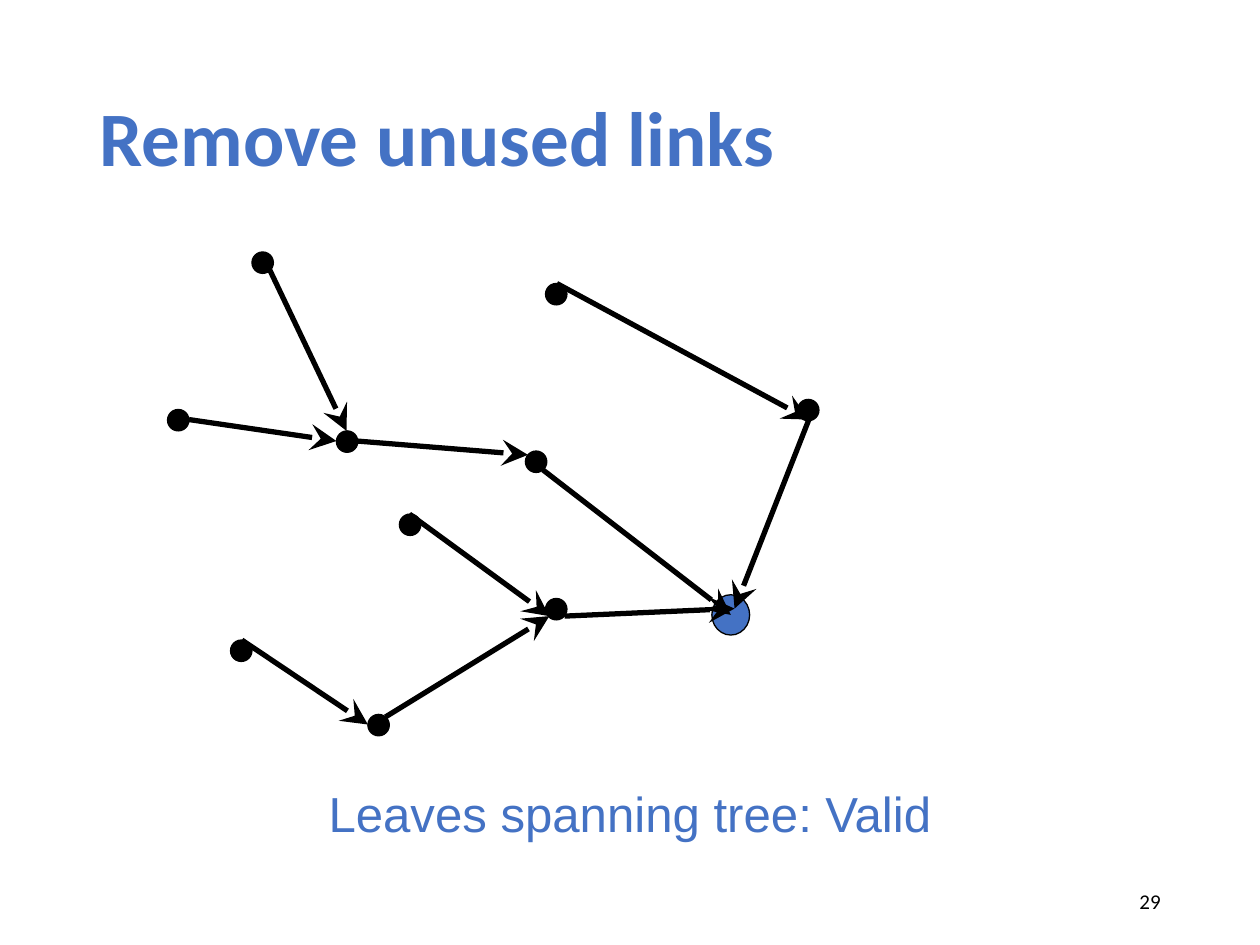
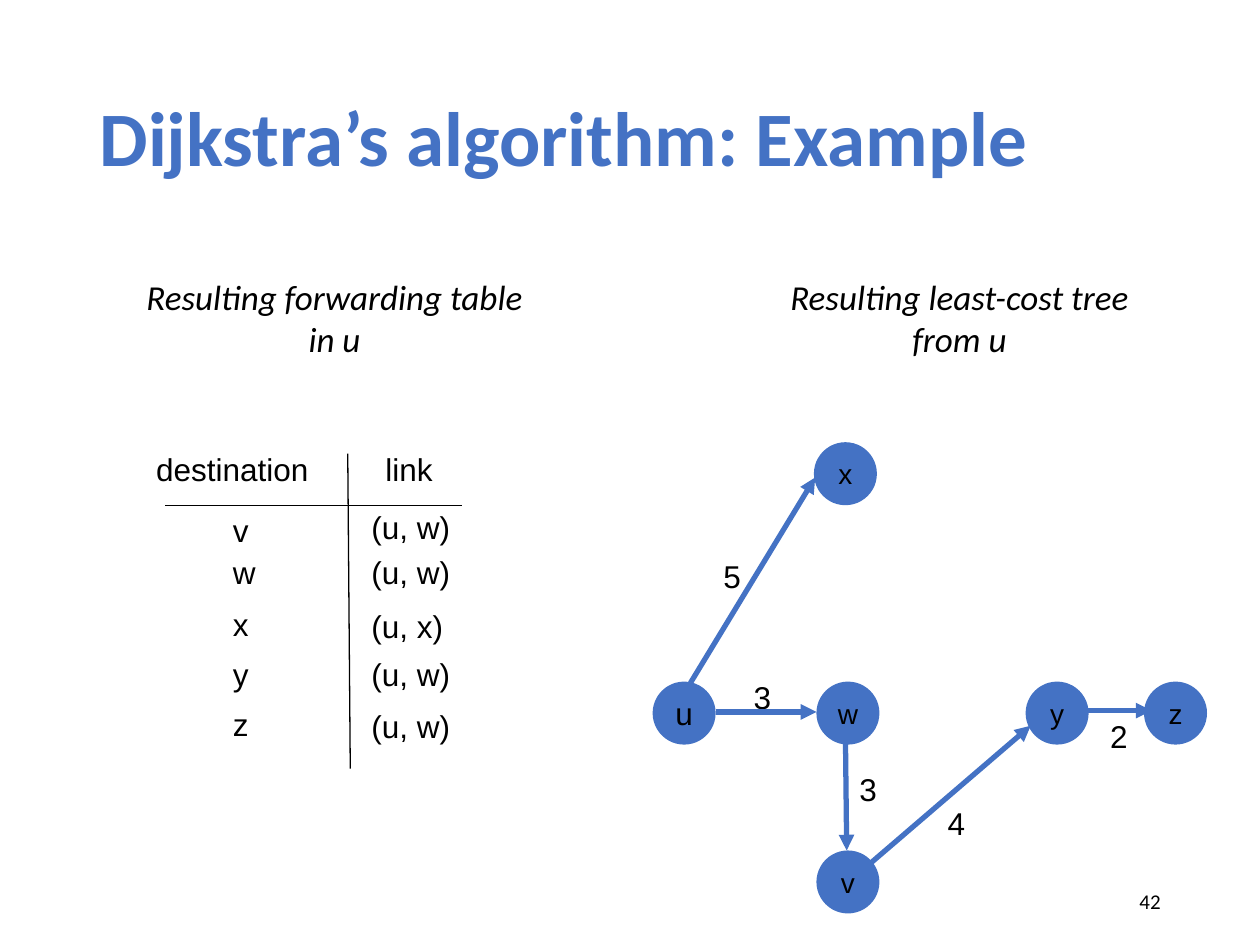
from lxml import etree
from pptx import Presentation
from pptx import util as u
from pptx.dml.color import RGBColor
from pptx.enum import shapes, text
from pptx.oxml.ns import qn

PX = 9144
BLUE = RGBColor(0x44, 0x72, 0xC4)
BLACK = RGBColor(0x00, 0x00, 0x00)
HEADING_FONT = "Calibri"
BODY_FONT = "Arial"
LEFT, CENTER, RIGHT = text.PP_ALIGN.LEFT, text.PP_ALIGN.CENTER, text.PP_ALIGN.RIGHT


def px(*lengths):
    return [u.Emu(length * PX) for length in lengths]


def style_text(text_frame, size, color=BLACK, font=BODY_FONT, align=CENTER, bold=False, italic=False):
    for paragraph in text_frame.paragraphs:
        paragraph.alignment = align
        for run in paragraph.runs:
            run.font.size = u.Pt(size)
            run.font.name = font
            run.font.color.rgb = color
            run.font.bold = bold
            run.font.italic = italic


def add_text(slide, words, left, top, width, height, size, wrap=False, anchor=text.MSO_ANCHOR.TOP, **style):
    box = slide.shapes.add_textbox(*px(left, top, width, height))
    text_frame = box.text_frame
    text_frame.text = words
    text_frame.word_wrap = wrap
    text_frame.vertical_anchor = anchor
    style_text(text_frame, size, **style)


def add_circle(slide, left, top, width, height, fill, outline=None):
    circle = slide.shapes.add_shape(shapes.MSO_SHAPE.OVAL, *px(left, top, width, height))
    circle.shadow.inherit = False
    circle.fill.solid()
    circle.fill.fore_color.rgb = fill
    if outline is None:
        circle.line.fill.background()
    else:
        circle.line.color.rgb = outline
        circle.line.width = u.Pt(0.75)
    return circle


def add_line(slide, x1, y1, x2, y2, color=BLACK, weight=0.75, arrow=None, arrow_size="med"):
    line = slide.shapes.add_connector(shapes.MSO_CONNECTOR.STRAIGHT, *px(x1, y1, x2, y2))
    line.line.color.rgb = color
    line.line.width = u.Pt(weight)
    properties = line._element.spPr
    if arrow:
        tail = etree.SubElement(properties.find(qn("a:ln")), qn("a:tailEnd"))
        tail.set("type", arrow)
        tail.set("w", arrow_size)
        tail.set("len", arrow_size)
    etree.SubElement(properties, qn("a:effectLst"))


def add_base_slide(presentation, title, number):
    slide = presentation.slides.add_slide(presentation.slide_layouts[5])
    heading = slide.shapes.title
    heading.left, heading.top, heading.width, heading.height = px(69, 40, 862, 145)
    text_frame = heading.text_frame
    text_frame.text = title
    text_frame.auto_size = text.MSO_AUTO_SIZE.NONE
    text_frame.vertical_anchor = text.MSO_ANCHOR.MIDDLE
    text_frame.paragraphs[0].line_spacing = 0.9
    style_text(text_frame, 44, BLUE, HEADING_FONT, LEFT, bold=True)
    add_text(slide, number, 706, 695, 225, 40, 12, wrap=True,
             anchor=text.MSO_ANCHOR.MIDDLE, font=HEADING_FONT, align=RIGHT)
    return slide


def add_spanning_tree(slide, left, top):
    dot_size = 17
    dots = [(67, 0), (0, 125), (300, 25), (300, 275), (159, 367),
            (134, 142), (500, 117), (184, 208), (50, 308), (284, 158)]
    links = [
        (81, 14, 142, 142), (298, 173, 447, 288), (309, 25, 509, 133),
        (59, 308, 159, 375), (192, 208, 303, 289), (315, 289, 450, 283),
        (150, 150, 286, 161), (17, 133, 134, 150), (173, 369, 303, 289),
        (509, 133, 450, 283),
    ]
    add_circle(slide, left + 432, top + 272, 30, 32, BLUE, BLACK)
    for x, y in dots:
        add_circle(slide, left + x, top + y, dot_size, dot_size, BLACK, BLACK)
    for x1, y1, x2, y2 in links:
        add_line(slide, left + x1, top + y1, left + x2, top + y2,
                 weight=3, arrow="stealth", arrow_size="lg")


def add_forwarding_table(slide, left, top):
    add_line(slide, left + 162, top + 8, left + 164, top + 258)
    add_line(slide, left + 17, top + 49, left + 253, top + 49)
    cells = [("destination", 0, 0, 142), ("link", 182, 0, 58)]
    rows = [("v", 49, "(u, w)", 46), ("w", 82, "(u, w)", 82), ("x", 123, "(u, x)", 125),
            ("y", 163, "(u, w)", 163), ("z", 203, "(u, w)", 204)]
    for destination, destination_top, link, link_top in rows:
        cells.append((destination, 61, destination_top, 33))
        cells.append((link, 171, link_top, 83))
    for words, x, y, width in cells:
        add_text(slide, words, left + x, top + y, width, 40, 18, align=LEFT)


def add_least_cost_tree(slide, left, top):
    node_size = 50
    nodes = [("x", 128, 0, 16), ("u", 0, 190, 18), ("z", 390, 190, 16),
             ("v", 130, 324, 16), ("y", 296, 190, 16), ("w", 130, 190, 16)]
    costs = [("3", 70, 182), ("5", 46, 86), ("3", 154, 255), ("4", 224, 282), ("2", 353, 213)]
    links = [(343, 213, 396, 213), (173, 334, 300, 225), (153, 234, 154, 324),
             (30, 191, 129, 28), (50, 214, 130, 214)]
    for cost, x, y in costs:
        add_text(slide, cost, left + x, top + y, 34, 40, 18)
    for name, x, y, size in nodes:
        node = add_circle(slide, left + x, top + y, node_size, node_size, BLUE)
        node.text_frame.text = name
        node.text_frame.word_wrap = False
        node.text_frame.vertical_anchor = text.MSO_ANCHOR.MIDDLE
        style_text(node.text_frame, size)
    for x1, y1, x2, y2 in links:
        add_line(slide, left + x1, top + y1, left + x2, top + y2, BLUE, 3, "triangle")


def add_links_slide(presentation):
    slide = add_base_slide(presentation, "Remove unused links", "29")
    add_spanning_tree(slide, 133, 200)
    add_text(slide, "Leaves spanning tree: Valid", 175, 617, 650, 57, 28.1, wrap=True, color=BLUE)


def add_dijkstra_slide(presentation):
    slide = add_base_slide(presentation, "Dijkstra’s algorithm: Example", "42")
    captions = [("Resulting least-cost tree\nfrom u", 616, 291),
                ("Resulting forwarding table\nin u", 105, 321)]
    for words, left, width in captions:
        add_text(slide, words, left, 214, width, 77, 20, font=HEADING_FONT, italic=True)
    add_least_cost_tree(slide, 518, 351)
    add_forwarding_table(slide, 114, 352)


def main():
    presentation = Presentation()
    presentation.slide_width, presentation.slide_height = px(1000, 750)
    add_links_slide(presentation)
    add_dijkstra_slide(presentation)
    presentation.save("out.pptx")


if __name__ == "__main__":
    main()
